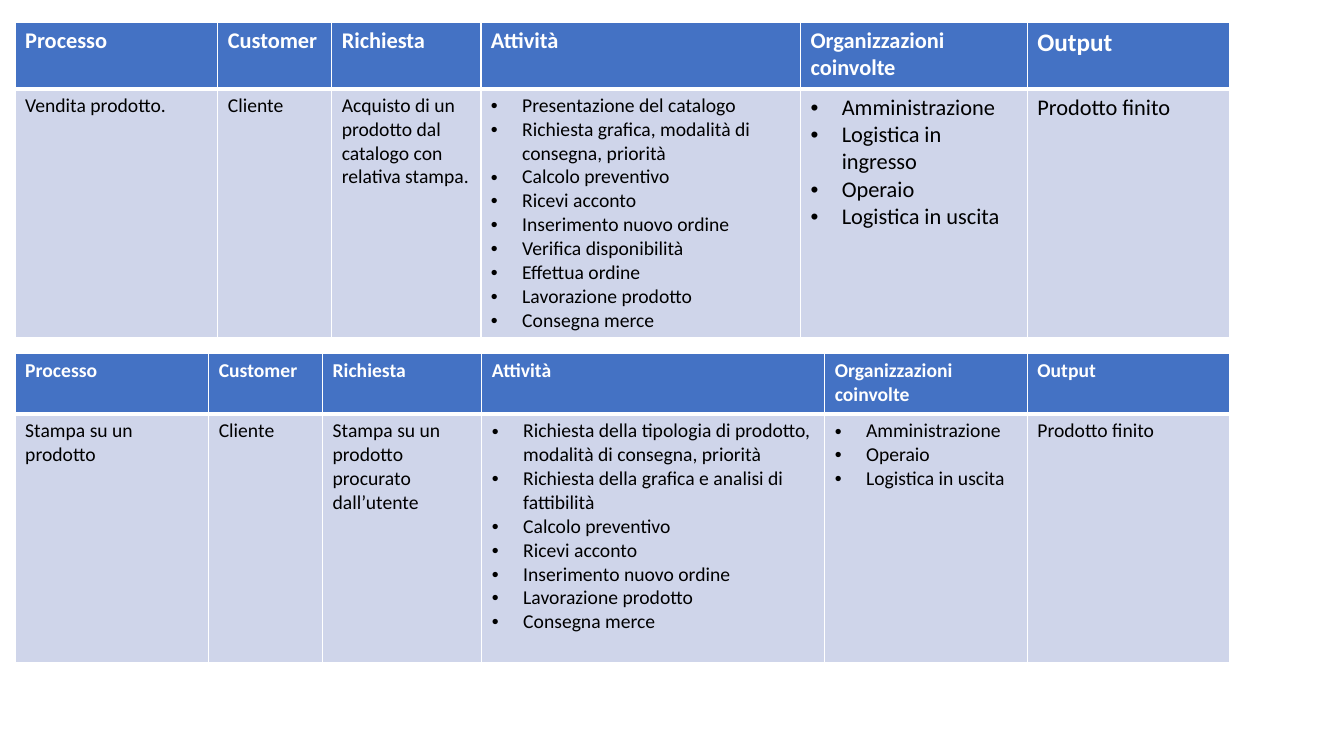
"""Builds a slide with two process tables."""
from lxml import etree
from pptx import Presentation
from pptx.dml.color import RGBColor
from pptx.oxml.ns import qn
from pptx.util import Pt

PX = 9144
BLANK_LAYOUT = 6
COLORS = {"header": "4472C4", "body": "CFD5EA", "white": "FFFFFF", "black": "000000"}
HEADINGS = ["Processo", "Customer", "Richiesta", "Attività", "Organizzazioni coinvolte", "Output"]
PROCESSES = [
    {
        "top": 22, "columns": [201, 113, 148, 317, 225, 201], "rows": [66, 246],
        "header_sizes": [16, 16, 16, 16, 16, 18], "body_sizes": [14, 14, 14, 14, 16, 16],
        "body": [
            "Vendita prodotto.",
            "Cliente",
            "Acquisto di un prodotto dal catalogo con relativa stampa.",
            ["Presentazione del catalogo", "Richiesta grafica, modalità di consegna, priorità",
             "Calcolo preventivo", "Ricevi acconto", "Inserimento nuovo ordine",
             "Verifica disponibilità", "Effettua ordine", "Lavorazione prodotto",
             "Consegna merce"],
            ["Amministrazione", "Logistica in ingresso", "Operaio", "Logistica in uscita"],
            "Prodotto finito",
        ],
    },
    {
        "top": 351, "columns": [192, 113, 158, 340, 201, 201], "rows": [60, 246],
        "header_sizes": [14] * 6, "body_sizes": [14] * 6,
        "body": [
            "Stampa su un prodotto",
            "Cliente",
            "Stampa su un prodotto procurato dall’utente",
            ["Richiesta della tipologia di prodotto, modalità di consegna, priorità",
             "Richiesta della grafica e analisi di fattibilità", "Calcolo preventivo",
             "Ricevi acconto", "Inserimento nuovo ordine", "Lavorazione prodotto",
             "Consegna merce"],
            ["Amministrazione", "Operaio", "Logistica in uscita"],
            "Prodotto finito",
        ],
    },
]


class ProcessSlide:
    """Holds the slide and the style of its tables."""

    font_name = "Calibri"
    bullet_indent = 31 * PX
    header_style = {"fill": "header", "color": "white", "bold": True,
                    "borders": {"lnL": 1, "lnR": 1, "lnT": 1, "lnB": 3}}
    body_style = {"fill": "body", "color": "black", "bold": False,
                  "borders": {"lnL": 1, "lnR": 1, "lnT": 3, "lnB": 1}}

    def __init__(self, presentation):
        self.slide = presentation.slides.add_slide(presentation.slide_layouts[BLANK_LAYOUT])

    def add_table(self, left, process):
        columns, rows = process["columns"], process["rows"]
        frame = self.slide.shapes.add_table(
            len(rows), len(columns), left * PX, process["top"] * PX,
            sum(columns) * PX, sum(rows) * PX)
        table = frame.table
        for column, width in zip(table.columns, columns):
            column.width = width * PX
        for row, height in zip(table.rows, rows):
            row.height = height * PX
        contents = [(HEADINGS, process["header_sizes"], self.header_style),
                    (process["body"], process["body_sizes"], self.body_style)]
        for row, (texts, sizes, style) in zip(table.rows, contents):
            for cell, text, size in zip(row.cells, texts, sizes):
                self.fill_cell(cell, text, size, style)

    def fill_cell(self, cell, text, size, style):
        for side, width in style["borders"].items():
            self.add_border(cell, side, width)
        cell.fill.solid()
        cell.fill.fore_color.rgb = RGBColor.from_string(COLORS[style["fill"]])
        bulleted = isinstance(text, list)
        lines = text if bulleted else [text]
        cell.text_frame.text = "\n".join(lines)
        font_format = {"name": self.font_name, "size": Pt(size), "bold": style["bold"]}
        for paragraph in cell.text_frame.paragraphs:
            font = paragraph.runs[0].font
            for name, value in font_format.items():
                setattr(font, name, value)
            font.color.rgb = RGBColor.from_string(COLORS[style["color"]])
            if bulleted:
                self.add_bullet(paragraph)

    def add_border(self, cell, side, width):
        properties = cell._tc.get_or_add_tcPr()
        line = etree.SubElement(properties, qn(f"a:{side}"), w=str(Pt(width)))
        fill = etree.SubElement(line, qn("a:solidFill"))
        etree.SubElement(fill, qn("a:srgbClr"), val=COLORS["white"])

    def add_bullet(self, paragraph):
        properties = paragraph._p.get_or_add_pPr()
        properties.set("marL", str(self.bullet_indent))
        properties.set("indent", str(-self.bullet_indent))
        etree.SubElement(properties, qn("a:buFont"), typeface="Arial")
        etree.SubElement(properties, qn("a:buChar"), char="•")


def main():
    presentation = Presentation()
    presentation.slide_width = 1333 * PX
    presentation.slide_height = 750 * PX
    process_slide = ProcessSlide(presentation)
    for process in PROCESSES:
        process_slide.add_table(15, process)
    presentation.save("out.pptx")


if __name__ == "__main__":
    main()
